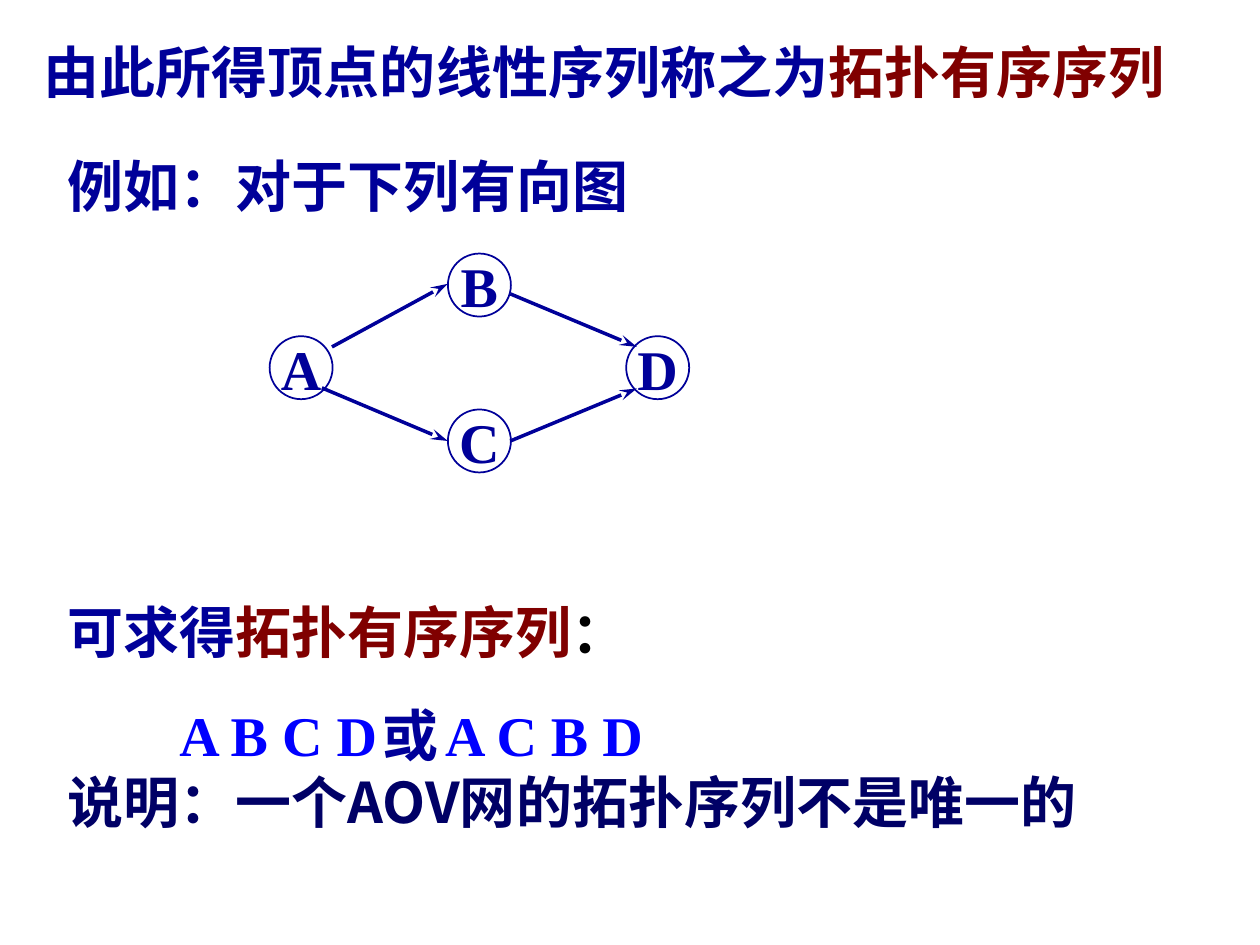
from lxml.etree import SubElement
from pptx import Presentation
from pptx.dml.color import RGBColor
from pptx.enum.shapes import MSO_CONNECTOR as CONN, MSO_SHAPE as SHAPE
from pptx.enum.text import MSO_ANCHOR as ANCHOR, PP_ALIGN as ALIGN
from pptx.oxml.ns import qn
from pptx.util import Inches, Pt

NAVY = RGBColor(0x00, 0x00, 0x99)
DARK_NAVY = RGBColor(0x00, 0x00, 0x66)
MAROON = RGBColor(0x80, 0x00, 0x00)
BLUE = RGBColor(0x00, 0x00, 0xFF)
BLACK = RGBColor(0x00, 0x00, 0x00)
SERIF, SANS = "Times New Roman", "Noto Sans CJK SC"

CELL = Inches(0.25)  # the slide is a grid of 40 columns by 30 rows
NODE = 2             # node diameter in cells

# Node -> position in the graph box, as shares of the room left by one node
NODES = {"A": (0, 0.53), "B": (0.5, 0), "C": (0.5, 1), "D": (1, 0.53)}
# (from, to, start in the first node, end in the second), as shares of a node
EDGES = [
    ("A", "B", (0.99, 0.17), (0, 0.48)),
    ("A", "C", (0.83, 0.82), (0, 0.5)),
    ("B", "D", (0.99, 0.64), (0.17, 0.17)),
    ("C", "D", (0.99, 0.5), (0.17, 0.83)),
]


def cells(*values):
    return [round(v * CELL) for v in values]


def add_run(p, text, color=NAVY, font=SERIF, size=32):
    r = p.add_run()
    r.text = text
    r.font.size, r.font.bold, r.font.name = Pt(size), True, font
    r.font.color.rgb = color
    SubElement(r.font._element, qn("a:ea"), typeface=SANS)


def set_stops(p, indent, *stops):
    """First-line indent and left tab stops, in cells from the text's edge."""
    pPr = p._p.get_or_add_pPr()
    pPr.set("marL", "0")
    pPr.set("indent", str(*cells(indent)))
    tabs = SubElement(pPr, qn("a:tabLst"))
    for stop in cells(*stops):
        SubElement(tabs, qn("a:tab"), pos=str(stop), algn="l")


def add_text(slide, box, paragraphs, wrap=True):
    """Each paragraph is (runs, space before in points, indent and tab stops)."""
    tf = slide.shapes.add_textbox(*cells(*box)).text_frame
    tf.word_wrap = wrap
    for i, (runs, before, stops) in enumerate(paragraphs):
        p = tf.add_paragraph() if i else tf.paragraphs[0]
        p.space_before = Pt(before)
        if stops:
            set_stops(p, *stops)
        for text, fmt in runs:
            add_run(p, text, **fmt)


def add_node(slide, label, x, y):
    s = slide.shapes.add_shape(SHAPE.OVAL, *cells(x, y, NODE, NODE))
    s.shadow.inherit = False
    s.fill.background()
    s.line.color.rgb, s.line.width = NAVY, Pt(1)
    tf = s.text_frame
    tf.word_wrap, tf.vertical_anchor = False, ANCHOR.MIDDLE
    p = tf.paragraphs[0]
    p.alignment = ALIGN.CENTER
    add_run(p, label)


def add_arrow(slide, start, end):
    c = slide.shapes.add_connector(CONN.STRAIGHT, *cells(*start, *end))
    c.line.color.rgb, c.line.width = NAVY, Pt(2)
    SubElement(c.line._get_or_add_ln(), qn("a:tailEnd"),
               type="stealth", w="med", len="lg")
    SubElement(c._element.spPr, qn("a:effectLst"))


def add_graph(slide, box):
    left, top, width, height = box
    corners = {label: (left + u * (width - NODE), top + v * (height - NODE))
               for label, (u, v) in NODES.items()}
    for label, corner in corners.items():
        add_node(slide, label, *corner)
    for a, b, start, end in EDGES:
        add_arrow(slide, *([c + NODE * share for c, share in zip(corners[n], at)]
                           for n, at in ((a, start), (b, end))))


def add_heading(slide, box):
    runs = [("由此所得顶点的线性序列称之为", {}),
            ("拓扑有序序列", {"color": MAROON})]
    add_text(slide, box, [(runs, 0, ())])


def add_example(slide, box):
    add_text(slide, box, [([("例如：对于下列有向图", {})], 0, ())], wrap=False)


def add_result(slide, box):
    answer = [("可求得", {}), ("拓扑有序序列", {"color": MAROON}),
              ("：", {"color": BLACK})]
    orders = [("A B C D", {"color": BLUE}), ("\t或\t", {}),
              ("A C B D", {"color": BLUE})]
    remark = [("说明：一个AOV网的拓扑序列不是唯一的",
               {"color": DARK_NAVY, "font": SANS})]
    add_text(slide, box, [(answer, 20, ()), (orders, 20, (3.56, 12.04, 15.88)),
                          (remark, 0, ())])


def main():
    prs = Presentation()
    prs.slide_width, prs.slide_height = 40 * CELL, 30 * CELL
    slide = prs.slides.add_slide(prs.slide_layouts[6])
    add_heading(slide, (1, 1, 39, 2.56))
    add_example(slide, (1.76, 4.6, 18.6, 2.56))
    add_graph(slide, (8.56, 8.05, 13.32, 6.95))
    add_result(slide, (1.74, 18.78, 36, 11.16))
    prs.save("out.pptx")


if __name__ == "__main__":
    main()
